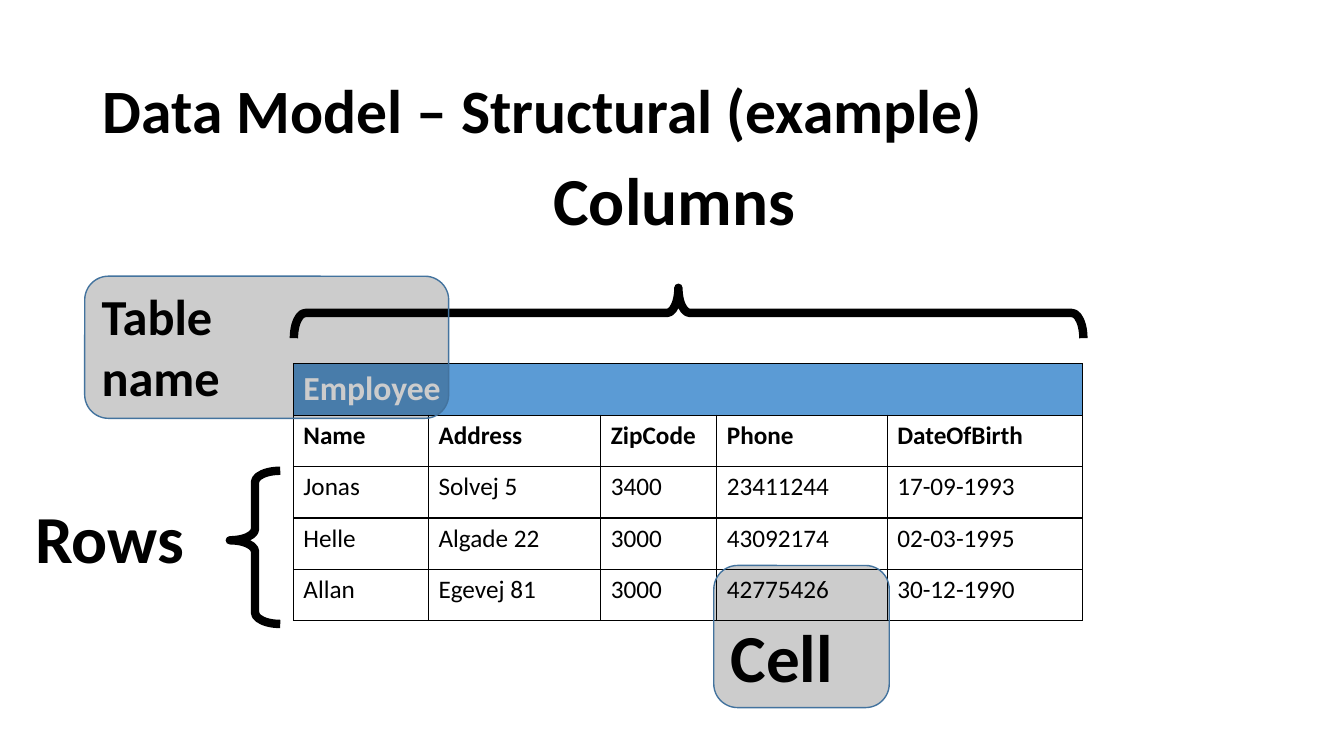
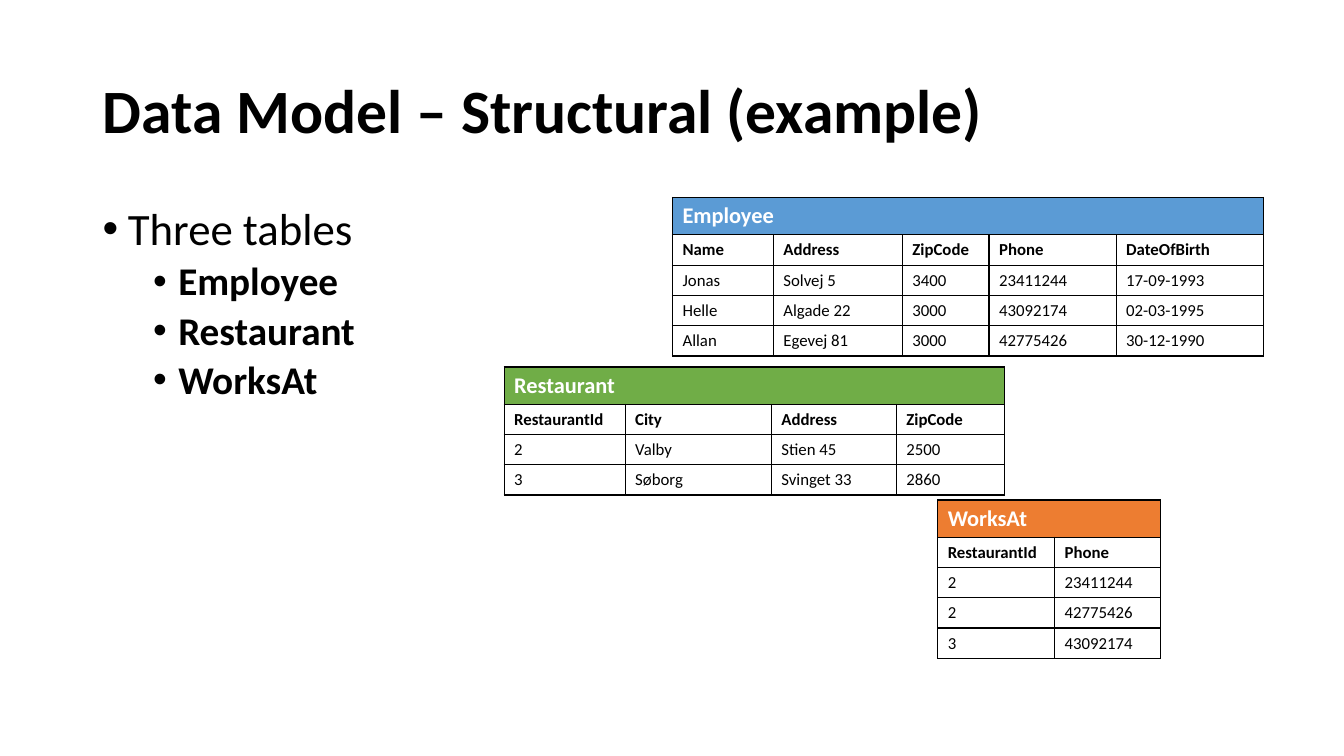
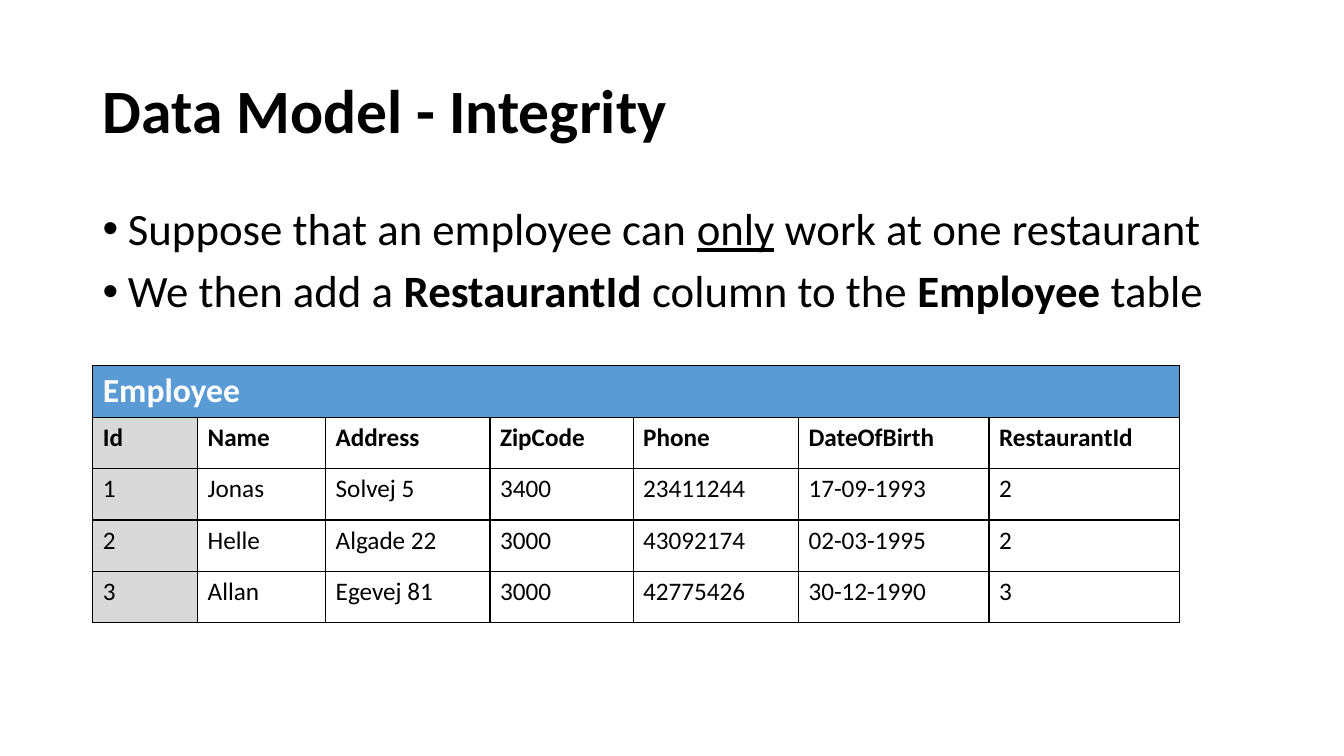
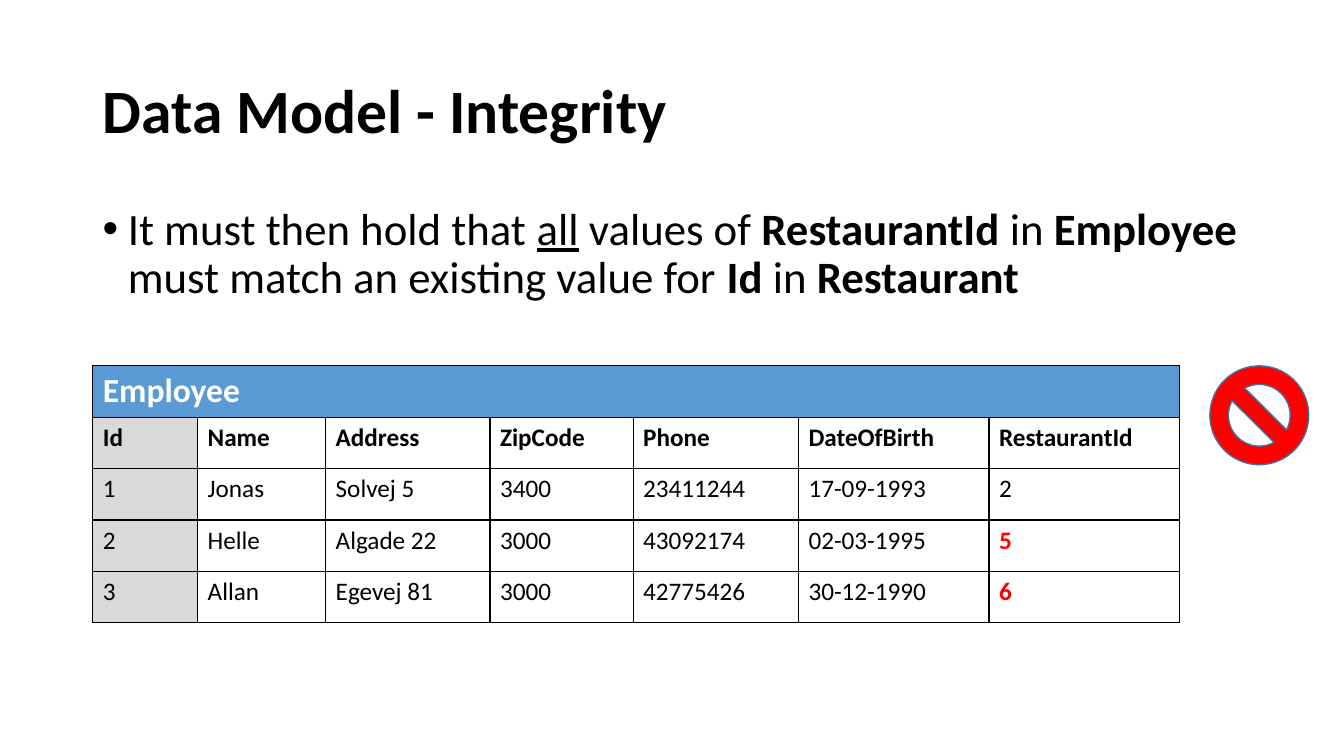
from dataclasses import dataclass

from lxml.etree import SubElement
from pptx import Presentation
from pptx.dml.color import RGBColor
from pptx.enum.shapes import MSO_SHAPE as Kind
from pptx.enum.text import MSO_ANCHOR as Anchor, MSO_AUTO_SIZE as Fit, PP_ALIGN as Align
from pptx.oxml.ns import qn
from pptx.util import Pt

PX = 9144  # EMU in one px, 100 px to the inch


# Theme
@dataclass(frozen=True)
class Theme:
    font: str = "Calibri"
    ink: str = "000000"
    paper: str = "FFFFFF"
    blue: str = "5B9BD5"
    green: str = "70AD47"
    orange: str = "ED7D31"
    grey: str = "D9D9D9"
    red: str = "FF0000"
    edge: str = "43739E"
    title: int = 44
    label: int = 48
    note: int = 36
    body: int = 32
    sub: int = 28


T = Theme()


# Repeated elements
@dataclass(frozen=True)
class Box:
    x: int
    y: int
    w: int
    h: int

    def emu(self) -> tuple[int, ...]:
        return tuple(v * PX for v in (self.x, self.y, self.w, self.h))


@dataclass(frozen=True)
class Span:
    text: str
    bold: bool = False
    line: bool = False


@dataclass(frozen=True)
class Point:
    spans: tuple[Span, ...]
    sub: bool = False


@dataclass(frozen=True)
class Size:
    head: int
    cell: int
    top: int
    row: int


@dataclass(frozen=True)
class Grid:
    name: str
    color: str
    x: int
    y: int
    cols: tuple[int, ...]
    rows: tuple[tuple[str, ...], ...]
    size: Size
    key: bool = False
    wrong: tuple[tuple[int, int], ...] = ()


LARGE = Size(24, 18, 51, 51)
SMALL = Size(16, 12, 37, 30)

# Table data
FIELDS = ("Name", "Address", "ZipCode", "Phone", "DateOfBirth")
STAFF = (
    ("Jonas", "Solvej 5", "3400", "23411244", "17-09-1993"),
    ("Helle", "Algade 22", "3000", "43092174", "02-03-1995"),
    ("Allan", "Egevej 81", "3000", "42775426", "30-12-1990"),
)
PEOPLE = (FIELDS, *STAFF)
PLACES = (
    ("RestaurantId", "City", "Address", "ZipCode"),
    ("2", "Valby", "Stien 45", "2500"),
    ("3", "Søborg", "Svinget 33", "2860"),
)
JOBS = (("RestaurantId", "Phone"), ("2", "23411244"), ("2", "42775426"), ("3", "43092174"))


# Drawing functions
def rgb(color: str) -> RGBColor:
    return RGBColor.from_string(color)


def style(run, size: int, color: str = T.ink, bold: bool = True) -> None:
    font = run.font
    font.name, font.size, font.bold = T.font, Pt(size), bold
    font.color.rgb = rgb(color)


def start(deck, title: str):
    slide = deck.slides.add_slide(deck.slide_layouts[5])
    shape = slide.shapes.title
    shape.left, shape.top, shape.width, shape.height = Box(92, 40, 1150, 145).emu()
    frame = shape.text_frame
    frame.text = title
    frame.auto_size, frame.vertical_anchor = Fit.NONE, Anchor.MIDDLE
    para = frame.paragraphs[0]
    para.alignment, para.line_spacing = Align.LEFT, 0.9
    style(para.runs[0], T.title)
    return slide


def bullets(slide, box: Box, points: tuple[Point, ...]) -> None:
    frame = slide.shapes.add_textbox(*box.emu()).text_frame
    frame.word_wrap = True
    for i, point in enumerate(points):
        para = frame.add_paragraph() if i else frame.paragraphs[0]
        para.level = int(point.sub)
        para.line_spacing, para.space_before = 0.9, Pt(5 if point.sub else 10)
        props = para._p.get_or_add_pPr()
        props.set("marL", str((75 if point.sub else 25) * PX))
        props.set("indent", str(-25 * PX))
        SubElement(props, qn("a:buFont"), typeface="Arial")
        SubElement(props, qn("a:buChar"), char="•")
        for span in point.spans:
            run = para.add_run()
            run.text = span.text
            style(run, T.sub if point.sub else T.body, bold=span.bold)
            run.font.underline = span.line


def paint(cell, text: str, size: int, color: str, bold: bool, fill: str) -> None:
    props = cell._tc.get_or_add_tcPr()
    for side in ("lnL", "lnR", "lnT", "lnB"):
        line = SubElement(props, qn(f"a:{side}"), w=str(int(Pt(1))))
        SubElement(SubElement(line, qn("a:solidFill")), qn("a:srgbClr"), val=T.ink)
    cell.fill.solid()
    cell.fill.fore_color.rgb = rgb(fill)
    cell.text_frame.text = text
    for run in cell.text_frame.paragraphs[0].runs:
        style(run, size, color, bold)


def draw(slide, grid: Grid) -> None:
    size, count = grid.size, len(grid.cols)
    box = Box(grid.x, grid.y, sum(grid.cols), size.top + size.row * len(grid.rows))
    table = slide.shapes.add_table(len(grid.rows) + 1, count, *box.emu()).table
    table.first_row = table.horz_banding = False
    for col, width in zip(table.columns, grid.cols):
        col.width = width * PX
    for i, row in enumerate(table.rows):
        row.height = (size.row if i else size.top) * PX
    table.cell(0, 0).merge(table.cell(0, count - 1))
    for c in range(count):
        paint(table.cell(0, c), "" if c else grid.name, size.head, T.paper, True, grid.color)
    for r, row in enumerate(grid.rows):
        for c, text in enumerate(row):
            wrong = (r, c) in grid.wrong
            paint(table.cell(r + 1, c), text, size.cell, T.red if wrong else T.ink,
                  wrong or r == 0, T.grey if grid.key and c == 0 else T.paper)


def form(slide, kind: Kind, box: Box, edge: str, width: int, fill: str = ""):
    shape = slide.shapes.add_shape(kind, *box.emu())
    shape.shadow.inherit = False
    if fill:
        shape.fill.solid()
        shape.fill.fore_color.rgb = rgb(fill)
    else:
        shape.fill.background()
    shape.line.color.rgb, shape.line.width = rgb(edge), Pt(width)
    return shape


def brace(slide, box: Box, mid: float, turn: int = 0) -> None:
    shape = form(slide, Kind.LEFT_BRACE, box, T.ink, 6)
    shape.adjustments[0], shape.adjustments[1] = 0.226, mid
    shape.rotation = turn


def write(frame, text: str, size: int) -> None:
    frame.text = text
    for para in frame.paragraphs:
        para.alignment = Align.LEFT
        style(para.runs[0], size)


def label(slide, box: Box, text: str) -> None:
    frame = slide.shapes.add_textbox(*box.emu()).text_frame
    frame.word_wrap, frame.auto_size = False, Fit.SHAPE_TO_FIT_TEXT
    write(frame, text, T.label)


def veil(slide, box: Box, text: str, size: int) -> None:
    shape = form(slide, Kind.ROUNDED_RECTANGLE, box, T.edge, 1, T.ink)
    tint = shape.element.spPr.find(qn("a:solidFill")).find(qn("a:srgbClr"))
    SubElement(tint, qn("a:alpha"), val="20000")
    shape.text_frame.vertical_anchor = Anchor.BOTTOM
    write(shape.text_frame, text, size)


def linked(ids: tuple[str, ...], wrong: tuple[tuple[int, int], ...] = ()) -> Grid:
    rows = tuple((str(i), *who, place) for i, (who, place) in enumerate(zip(STAFF, ids), 1))
    return Grid("Employee", T.blue, 92, 363, (104, 127, 163, 142, 164, 189, 189),
                (("Id", *FIELDS, "RestaurantId"), *rows), LARGE, True, wrong)


# Slides
def terms(deck) -> None:
    slide = start(deck, "Data Model – Structural (example)")
    draw(slide, Grid("Employee", T.blue, 291, 361, (134, 171, 115, 169, 194), PEOPLE, LARGE))
    brace(slide, Box(228, 467, 50, 152), 0.454)
    brace(slide, Box(658, -81, 50, 783), 0.513, 90)
    label(slide, Box(25, 487, 169, 91), "Rows")
    label(slide, Box(539, 152, 262, 91), "Columns")
    veil(slide, Box(708, 561, 174, 141), "Cell", T.label)
    veil(slide, Box(84, 274, 361, 141), "Table\nname", T.note)


def tables(deck) -> None:
    slide = start(deck, "Data Model – Structural (example)")
    grids = (
        Grid("Employee", T.blue, 667, 196, (100, 128, 86, 126, 146), PEOPLE, SMALL),
        Grid("Restaurant", T.green, 500, 364, (120, 145, 124, 107), PLACES, SMALL),
        Grid("WorksAt", T.orange, 930, 496, (116, 105), JOBS, SMALL),
    )
    names = tuple(Point((Span(grid.name, bold=True),), sub=True) for grid in grids)
    bullets(slide, Box(92, 200, 284, 476), (Point((Span("Three tables"),)), *names))
    for grid in grids:
        draw(slide, grid)


def column(deck) -> None:
    slide = start(deck, "Data Model - Integrity")
    bullets(slide, Box(92, 200, 1158, 133), (
        Point((Span("Suppose that an employee can "), Span("only", line=True),
               Span(" work at one restaurant"))),
        Point((Span("We then add a "), Span("RestaurantId", bold=True),
               Span(" column to the "), Span("Employee", bold=True), Span(" table"))),
    ))
    draw(slide, linked(("2", "2", "3")))


def match(deck) -> None:
    slide = start(deck, "Data Model - Integrity")
    form(slide, Kind.NO_SYMBOL, Box(1200, 363, 98, 98), T.edge, 1, T.red)
    bullets(slide, Box(92, 200, 1174, 133), (
        Point((Span("It must then hold that "), Span("all", line=True), Span(" values of "),
               Span("RestaurantId", bold=True), Span(" in "), Span("Employee", bold=True),
               Span(" must match an existing value for "), Span("Id", bold=True),
               Span(" in "), Span("Restaurant", bold=True))),
    ))
    draw(slide, linked(("2", "5", "6"), wrong=((2, 6), (3, 6))))


def main() -> None:
    deck = Presentation()
    deck.slide_width, deck.slide_height = 1333 * PX, 750 * PX
    for build in (terms, tables, column, match):
        build(deck)
    deck.save("out.pptx")


if __name__ == "__main__":
    main()
